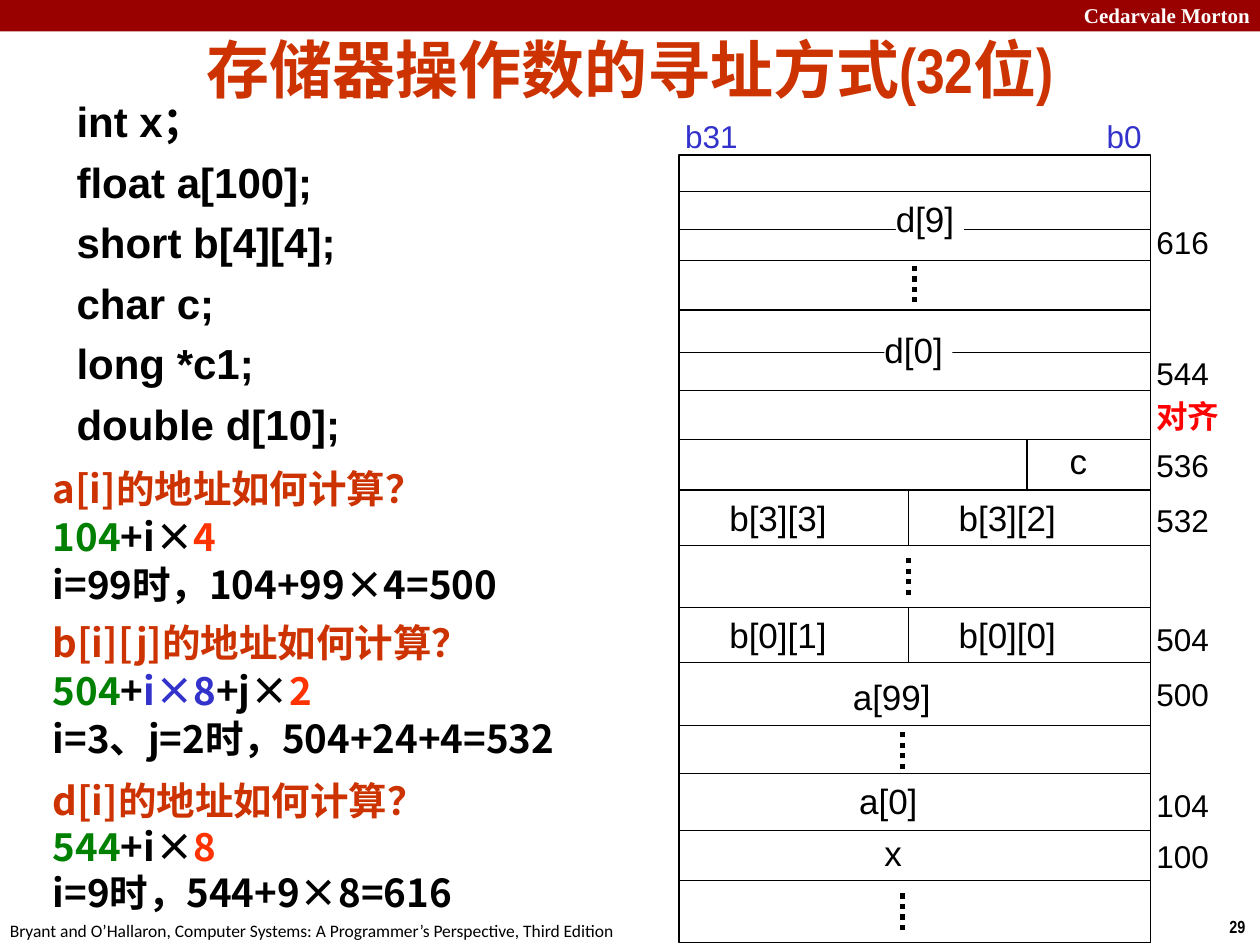
from lxml import etree
from pptx import Presentation
from pptx.dml.color import RGBColor
from pptx.enum import dml, shapes, text
from pptx.oxml.ns import qn
from pptx.util import Inches, Pt

CJK = "Noto Sans CJK SC"
BLACK, WHITE, RUST, BLUE = "000000", "FFFFFF", "CC3300", "3333CC"
GREEN, RED = "008000", "FF3300"

# Content
TITLE = [("存储器操作数的寻址方式", "Arial"), ("(32位)", "Arial Narrow")]
DECLS = ["int x；", "float a[100];", "short b[4][4];", "char c;",
         "long *c1;", "double d[10];"]
# Each line: space before in points, then coloured pieces
NOTES = [
    (1.1, [("a[i]的地址如何计算？", RUST)]),
    (1.1, [("104", GREEN), ("+i×", BLACK), ("4", RED)]),
    (1.1, [("i=99时，104+99×4=500", BLACK)]),
    (6.6, [("b[i][j]的地址如何计算？", RUST)]),
    (1.1, [("504", GREEN), ("+", BLACK), ("i×8", BLUE), ("+j×", BLACK), ("2", RED)]),
    (1.1, [("i=3、j=2时，504+24+4=532", BLACK)]),
    (8.8, [("d[i]的地址如何计算？", RUST)]),
    (0, [("544", GREEN), ("+i×", BLACK), ("8", RED)]),
    (0, [("i=9时，544+9×8=616", BLACK)]),
]

# Memory map
LEFT, TOP, WIDE, HIGH = 5.39, 1.23, 3.74, 6.25
RIGHT = LEFT + WIDE
ROWS = [1.52, 1.82, 2.07, 2.46, 2.8, 3.1, 3.49, 3.89, 4.33, 4.82, 5.26,
        5.76, 6.14, 6.59, 6.99]
SPLITS = [(8.15, 3.49, 3.89), (7.21, 3.89, 4.33), (7.21, 4.82, 5.26)]
DOTS = [(7.26, 2.11), (7.21, 4.43), (7.16, 5.81), (7.16, 7.09)]
CELLS = [("c", 8.39, 3.44), ("b[3][3]", 5.69, 3.89), ("b[3][2]", 7.51, 3.89),
         ("b[0][1]", 5.69, 4.82), ("b[0][0]", 7.51, 4.82), ("a[99]", 6.67, 5.31),
         ("a[0]", 6.72, 6.14), ("x", 6.92, 6.55)]
MASKS = [("d[9]", 7.11, 1.52), ("d[0]", 7.02, 2.56)]
ADDRS = [("616", 1.72), ("544", 2.76), ("536", 3.49), ("532", 3.93), ("504", 4.87),
         ("500", 5.31), ("104", 6.19), ("100", 6.59)]

deck = Presentation()
deck.slide_width, deck.slide_height = Inches(10), Inches(7.5)
slide = deck.slides.add_slide(deck.slide_layouts[5])
parts = slide.shapes


def color(code):
    return RGBColor.from_string(code)


def style(run, size, tint=BLACK, font="Arial", bold=False):
    face = run.font
    face.size, face.bold, face.name = Pt(size), bold, font
    face.fill.solid()
    face.fill.fore_color.rgb = color(tint)
    face.name = font
    asian = etree.SubElement(run._r.get_or_add_rPr(), qn("a:ea"))
    asian.set("typeface", CJK)


def place(shape, x, y, w, h):
    shape.left, shape.top, shape.width, shape.height = map(Inches, (x, y, w, h))


def box(x, y, w, h, wrap=True):
    frame = parts.add_textbox(*map(Inches, (x, y, w, h))).text_frame
    frame.word_wrap = wrap
    return frame


def label(words, x, y, w, h, size, wrap=True, align=text.PP_ALIGN.LEFT, **look):
    frame = box(x, y, w, h, wrap)
    frame.text = words
    para = frame.paragraphs[0]
    para.alignment = align
    style(para.runs[0], size, **look)


def rect(x, y, w, h, fill, edge=None):
    shape = parts.add_shape(shapes.MSO_SHAPE.RECTANGLE, *map(Inches, (x, y, w, h)))
    shape.shadow.inherit = False
    shape.fill.solid()
    shape.fill.fore_color.rgb = color(fill)
    if edge:
        shape.line.color.rgb = color(edge)
        shape.line.width = Pt(0.75)
    else:
        shape.line.fill.background()
    return shape


def rule(x1, y1, x2, y2, width=0.75, dash=None):
    line = parts.add_connector(shapes.MSO_CONNECTOR.STRAIGHT,
                               *map(Inches, (x1, y1, x2, y2)))
    line.line.color.rgb = color(BLACK)
    line.line.width = Pt(width)
    if dash:
        line.line.dash_style = dash
    etree.SubElement(line._element.spPr, qn("a:effectLst"))


# Banner and footer
rect(0, 0, 10, 0.25, "990000")
label("Cedarvale Morton", 8.2, -0.03, 1.82, 0.3, 12, align=text.PP_ALIGN.RIGHT,
      tint=WHITE, font="Times New Roman", bold=True)
label("29", 9.66, 7.22, 0.34, 0.27, 10, False, font="Arial Narrow", bold=True)
label("Bryant and O’Hallaron, Computer Systems: A Programmer’s Perspective, "
      "Third Edition", -0.02, 7.25, 5.08, 0.27, 10, False, font="Calibri")

# Title
head = parts.title
place(head, 0.5, 0.24, 9, 0.61)
frame = head.text_frame
frame.auto_size = text.MSO_AUTO_SIZE.NONE
frame.vertical_anchor = text.MSO_ANCHOR.MIDDLE
para = frame.paragraphs[0]
para.alignment = text.PP_ALIGN.CENTER
for words, font in TITLE:
    run = para.add_run()
    run.text = words
    style(run, 36, RUST, font, True)

# Declarations
frame = box(0.51, 0.71, 3.4, 2.49)
frame.text = "\n".join(DECLS)
for para in frame.paragraphs:
    para.space_before = Pt(5.8)
    style(para.runs[0], 24, bold=True)

# Address calculations
frame = box(0.32, 3.64, 4.68, 3.73)
for i, (gap, pieces) in enumerate(NOTES):
    para = frame.add_paragraph() if i else frame.paragraphs[0]
    para.space_before = Pt(gap)
    para.line_spacing = Pt(26.4)
    for words, tint in pieces:
        run = para.add_run()
        run.text = words
        style(run, 22, tint, CJK, True)

# Memory map: frame, rows, splits and gaps
rect(LEFT, TOP, WIDE, HIGH, WHITE, BLACK)
for y in ROWS:
    rule(LEFT, y, RIGHT, y)
for x, y1, y2 in SPLITS:
    rule(x, y1, x, y2)
for x, y in DOTS:
    rule(x, y, x, y + 0.29, 3, dml.MSO_LINE.ROUND_DOT)

# Cell names
for words, x, y in CELLS:
    label(words, x, y, 1.23, 0.43, 20)
for words, x, y in MASKS:
    shape = rect(x, y + 0.03, 0.54, 0.37, WHITE)
    frame = shape.text_frame
    frame.margin_left = frame.margin_right = 0
    frame.margin_top = frame.margin_bottom = Inches(0.02)
    frame.vertical_anchor = text.MSO_ANCHOR.TOP
    frame.text = words
    frame.paragraphs[0].alignment = text.PP_ALIGN.LEFT
    style(frame.paragraphs[0].runs[0], 20)

# Bit numbers and addresses
label("b31", 5.34, 0.88, 0.8, 0.4, 18, tint=BLUE)
label("b0", 8.36, 0.88, 0.8, 0.4, 18, align=text.PP_ALIGN.RIGHT, tint=BLUE)
for words, y in ADDRS:
    label(words, 9.08, y, 0.64, 0.4, 18)
label("对齐", 9.08, 3.1, 0.71, 0.4, 18, False, tint="FF0000", font="Calibri", bold=True)

deck.save("out.pptx")
